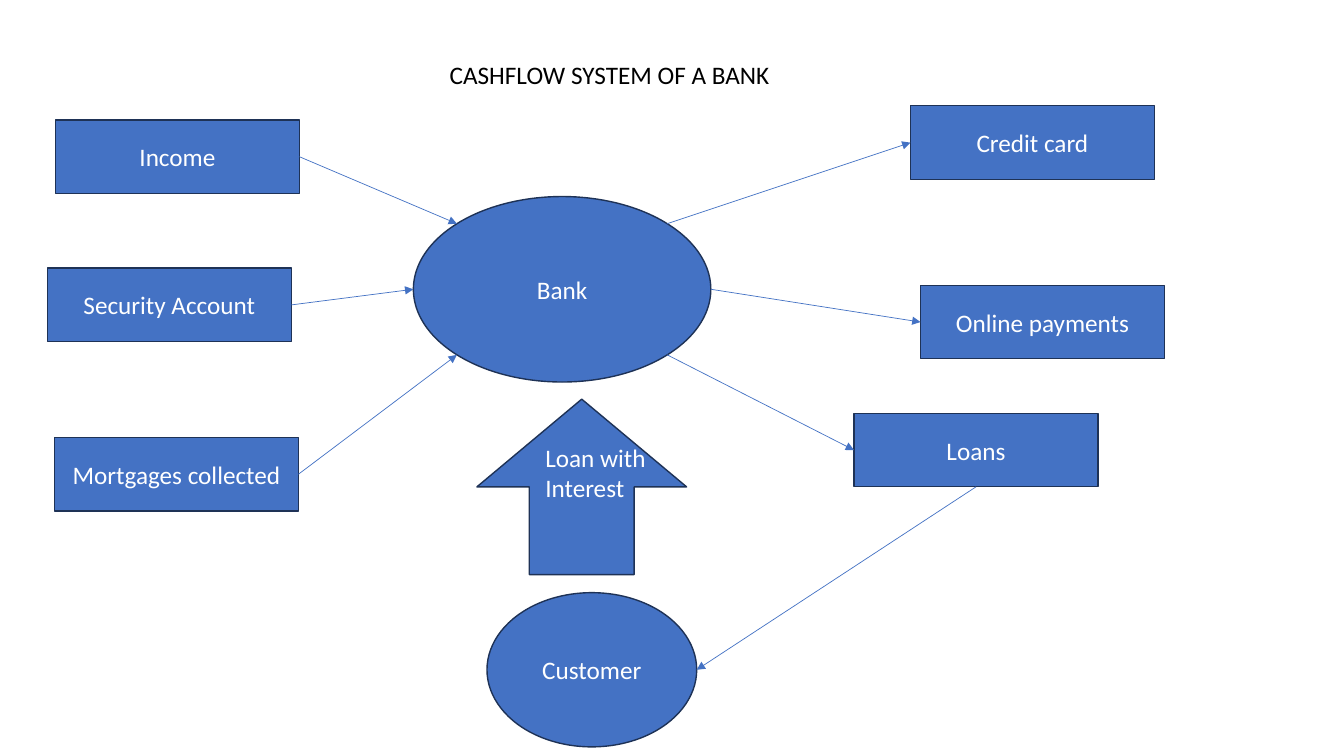
import math
from dataclasses import dataclass

import pptx
import pptx.dml.color
import pptx.enum.shapes
import pptx.enum.text
import pptx.oxml.ns
import pptx.util
from lxml import etree
from pptx.util import Inches

BLUE, NAVY, WHITE, BLACK = "4472C4", "1E3256", "FFFFFF", "000000"
SHAPE = pptx.enum.shapes.MSO_SHAPE
ALIGN = pptx.enum.text.PP_ALIGN
ANCHOR = pptx.enum.text.MSO_ANCHOR
TOP, LEFT, BOTTOM, RIGHT = range(4)
BOX_WIDTH, BOX_HEIGHT = 2.42, 0.73


@dataclass(frozen=True)
class Node:
    label: str
    left: float
    top: float
    width: float = BOX_WIDTH
    height: float = BOX_HEIGHT
    kind: SHAPE = SHAPE.RECTANGLE

    def rim(self, degrees: float) -> tuple[float, float]:
        """Point on the ellipse, clockwise from its right end."""
        angle = math.radians(degrees)
        return (self.left + self.width / 2 * (1 + math.cos(angle)),
                self.top + self.height / 2 * (1 + math.sin(angle)))


@dataclass(frozen=True)
class Flow:
    """Arrow between a side of a box and a point on an oval's rim."""
    box: Node
    side: int
    oval: Node
    degrees: float
    into_oval: bool


BANK = Node("Bank", 4.1, 1.95, 2.95, 1.84, SHAPE.OVAL)
CUSTOMER = Node("Customer", 4.83, 5.88, 2.08, 1.53, SHAPE.OVAL)
INCOME = Node("Income", 0.55, 1.19)
SECURITY = Node("Security Account", 0.47, 2.66)
MORTGAGES = Node("Mortgages collected", 0.54, 4.34)
CREDIT = Node("Credit card", 9.03, 1.05)
PAYMENTS = Node("Online payments", 9.13, 2.83)
LOANS = Node("Loans", 8.47, 4.1)
NODES = [BANK, INCOME, SECURITY, MORTGAGES, CREDIT, PAYMENTS, LOANS, CUSTOMER]

FLOWS = [
    Flow(INCOME, RIGHT, BANK, 225, True),
    Flow(SECURITY, RIGHT, BANK, 180, True),
    Flow(MORTGAGES, RIGHT, BANK, 135, True),
    Flow(CREDIT, LEFT, BANK, 315, False),
    Flow(PAYMENTS, LEFT, BANK, 0, False),
    Flow(LOANS, LEFT, BANK, 45, False),
    Flow(LOANS, BOTTOM, CUSTOMER, 0, True),
]


def color(code: str) -> pptx.dml.color.RGBColor:
    return pptx.dml.color.RGBColor.from_string(code)


def apply(target, values: dict) -> None:
    for name, value in values.items():
        setattr(target, name, value)


def write(shape, text: str, ink: str, align: ALIGN, anchor: ANCHOR) -> None:
    apply(shape.text_frame, {
        "word_wrap": True, "vertical_anchor": anchor,
        "auto_size": pptx.enum.text.MSO_AUTO_SIZE.NONE,
        "margin_left": Inches(0.1), "margin_right": Inches(0.1),
        "margin_top": Inches(0.05), "margin_bottom": Inches(0.05)})
    para = shape.text_frame.paragraphs[0]
    apply(para, {"alignment": align, "line_spacing": 1.0,
                 "space_before": pptx.util.Pt(0)})
    span = para.add_run()
    span.text = text
    apply(span.font, {"name": "Calibri", "size": pptx.util.Pt(18)})
    span.font.color.rgb = color(ink)


def draw_shape(page, node: Node):
    shape = page.shapes.add_shape(
        node.kind, Inches(node.left), Inches(node.top),
        Inches(node.width), Inches(node.height))
    shape.shadow.inherit = False
    shape.fill.solid()
    shape.fill.fore_color.rgb = color(BLUE)
    shape.line.color.rgb = color(NAVY)
    shape.line.width = pptx.util.Pt(1)
    if node.label:
        write(shape, node.label, WHITE, ALIGN.CENTER, ANCHOR.MIDDLE)
    return shape


def draw_flow(page, flow: Flow, box) -> None:
    x, y = (Inches(value) for value in flow.oval.rim(flow.degrees))
    arrow = page.shapes.add_connector(
        pptx.enum.shapes.MSO_CONNECTOR.STRAIGHT, x, y, x, y)
    join = arrow.begin_connect if flow.into_oval else arrow.end_connect
    join(box, flow.side)
    arrow.line.color.rgb = color(BLUE)
    arrow.line.width = pptx.util.Pt(0.5)
    qn = pptx.oxml.ns.qn
    properties = arrow.element.spPr
    etree.SubElement(properties.find(qn("a:ln")), qn("a:tailEnd"), type="triangle")
    etree.SubElement(properties, qn("a:effectLst"))


def main() -> None:
    deck = pptx.Presentation()
    apply(deck, {"slide_width": Inches(13.33), "slide_height": Inches(7.5)})
    page = deck.slides.add_slide(deck.slide_layouts.get_by_name("Title Only"))

    title = page.shapes.title
    apply(title, {"left": Inches(4.36), "top": Inches(0.54),
                  "width": Inches(7.47), "height": Inches(0.4)})
    write(title, "CASHFLOW SYSTEM OF A BANK", BLACK, ALIGN.LEFT, ANCHOR.TOP)

    shapes = {node: draw_shape(page, node) for node in NODES}
    for flow in FLOWS:
        draw_flow(page, flow, shapes[flow.box])

    loan_arrow = draw_shape(
        page, Node("", 4.9, 3.79, 1.74, 2.08, SHAPE.RIGHT_ARROW))
    loan_arrow.rotation = 270
    caption = page.shapes.add_textbox(
        Inches(5.31), Inches(4.34), Inches(1.3), Inches(0.71))
    write(caption, "Loan with Interest", WHITE, ALIGN.LEFT, ANCHOR.TOP)

    deck.save("out.pptx")


if __name__ == "__main__":
    main()
